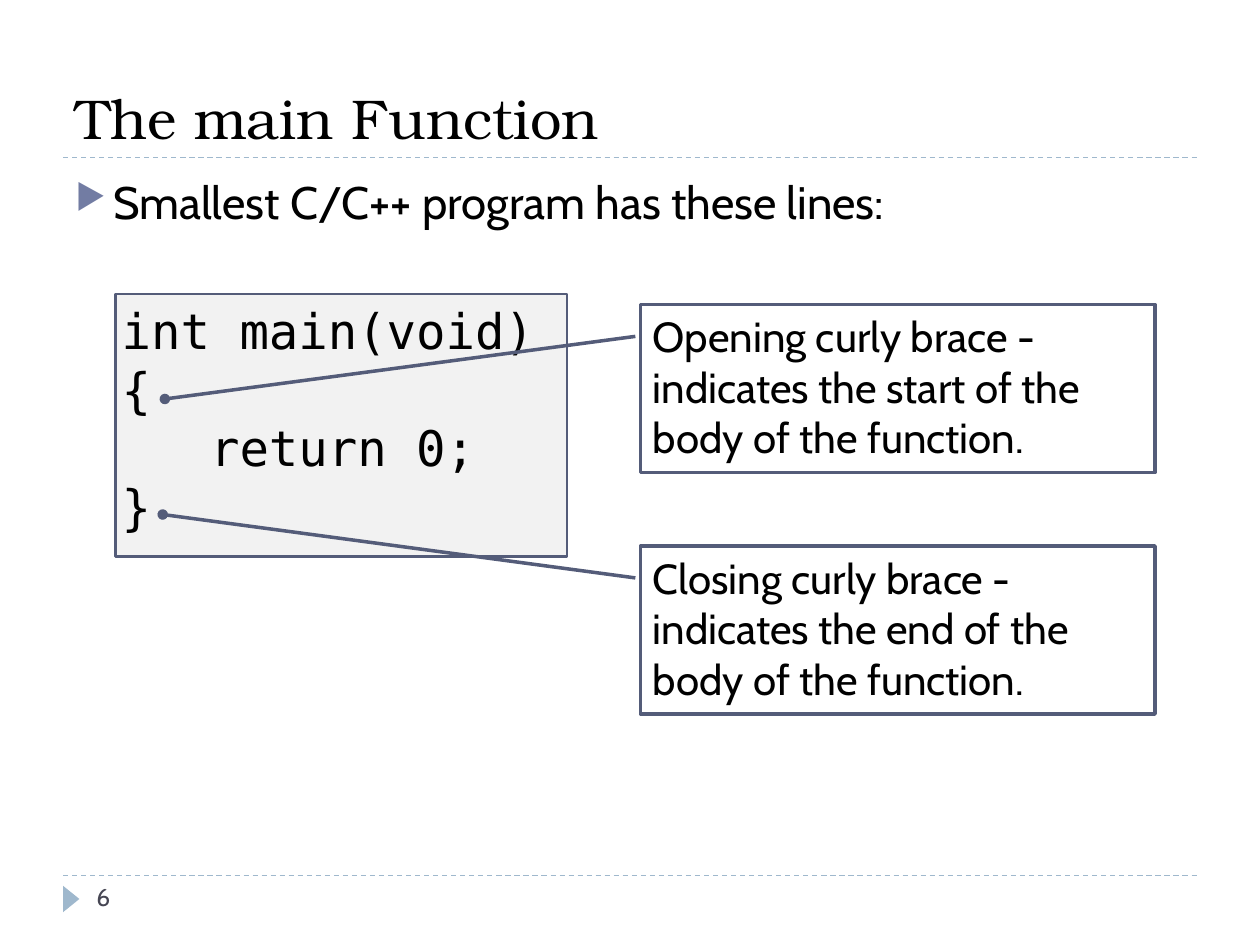
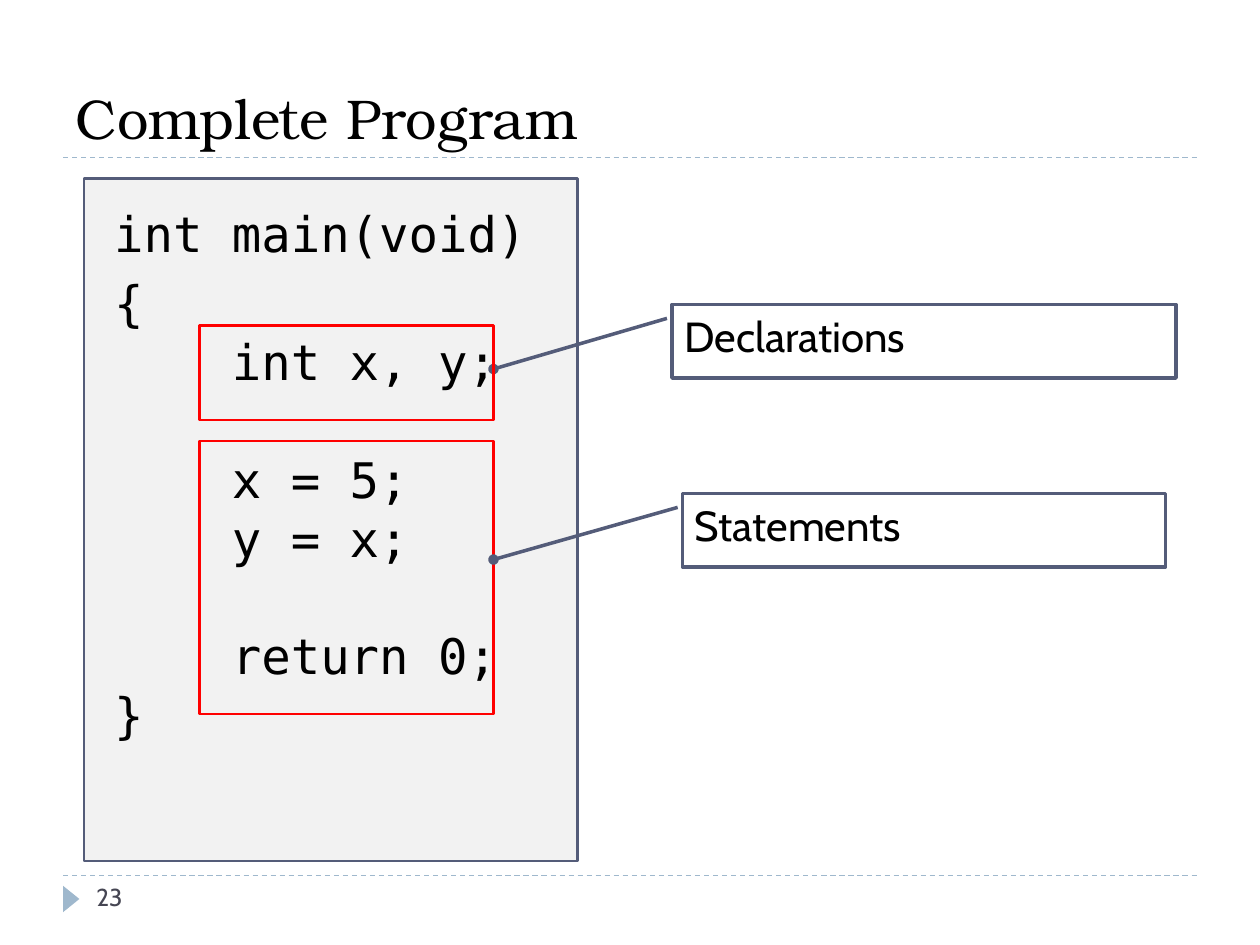
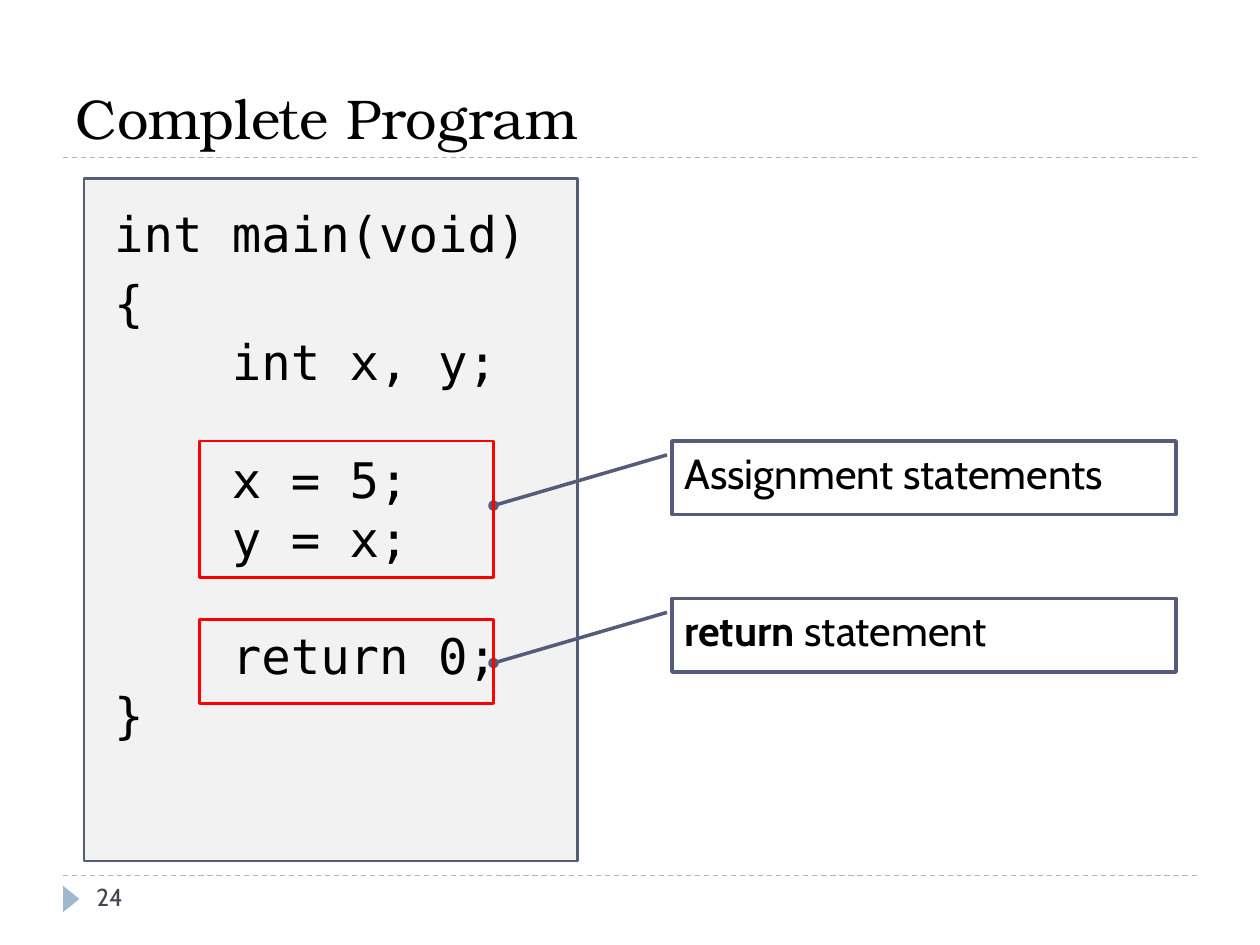
from collections import namedtuple

from lxml import etree
from pptx import Presentation
from pptx.dml.color import RGBColor
from pptx.enum.dml import MSO_LINE
from pptx.enum.shapes import MSO_CONNECTOR, MSO_SHAPE
from pptx.enum.text import MSO_ANCHOR, MSO_AUTO_SIZE, PP_ALIGN
from pptx.oxml.ns import qn
from pptx.util import Inches, Pt

STRAIGHT = MSO_CONNECTOR.STRAIGHT
RECTANGLE, TRIANGLE = MSO_SHAPE.RECTANGLE, MSO_SHAPE.ISOSCELES_TRIANGLE
CALLOUT = MSO_SHAPE.LINE_CALLOUT_1
DASH, LEFT = MSO_LINE.DASH, PP_ALIGN.LEFT
TOP, BOTTOM, FIXED = MSO_ANCHOR.TOP, MSO_ANCHOR.BOTTOM, MSO_AUTO_SIZE.NONE

CELLS_PER_INCH = 12
COLUMNS, ROWS = 120, 90
MARGIN, TITLE_RULE, FOOTER_RULE = 6, 15, 83.4

BLACK, SLATE, RED = "000000", "545C79", "FF0000"
PANEL, PALE_BLUE, BULLET, NUMBER = "F2F2F2", "9FB8CD", "727CA3", "464653"

TITLE_FONT = {"name": "TeX Gyre Bonum", "size": Pt(32), "color": BLACK}
BODY_FONT = {"name": "Cabin", "size": Pt(26), "color": BLACK}
NOTE_FONT = {**BODY_FONT, "size": Pt(24)}
NUMBER_FONT = {**BODY_FONT, "size": Pt(14), "color": NUMBER}
CODE_FONT = {"name": "DejaVu Sans Mono", "size": Pt(28), "color": BLACK}

DEFAULT_INSETS = (0.1, 0.05, 0.1, 0.05)
CODE_LINE = Pt(33.5)

Box = namedtuple("Box", "left top width height")

TITLE_BOX = Box(MARGIN, 2, COLUMNS - 2 * MARGIN, 13)
BODY_BOX = Box(MARGIN, 16, COLUMNS - 2 * MARGIN, 65)
NUMBER_BOX = Box(8, FOOTER_RULE, 26, 4.8)
MARKER_BOX = Box(5.52, 84.84, 2.52, 1.56)
PROGRAM_BOX = Box(8, 17, 47, 65)

SMALLEST_PROGRAM = ["int main(void)", "{", "   return 0;", "}"]
COMPLETE_PROGRAM = [
    "int main(void)", "{", "    int x, y;", "    x = 5;", "    y = x;",
    "    return 0;", "}",
]
PROGRAM_GAPS = {1: Pt(6), 3: CODE_LINE, 5: CODE_LINE}


def cells(count):
    """Turn a number of grid cells into a length."""
    return Inches(count / CELLS_PER_INCH)


def place(box):
    """Turn a grid box into left, top, width and height."""
    return [cells(count) for count in box]


def rgb(value):
    """Turn a hex string into a colour."""
    return RGBColor.from_string(value)


def apply_font(font, values):
    """Set font attributes from a dict of format values."""
    for name, value in values.items():
        if name == "color":
            font.color.rgb = rgb(value)
        else:
            setattr(font, name, value)


def write(frame, lines, font, insets=DEFAULT_INSETS, anchor=TOP, gaps=None):
    """Write lines, each a string or a list of (text, bold) spans, in a frame."""
    settings = {"word_wrap": True, "auto_size": FIXED, "vertical_anchor": anchor}
    sides = ("margin_left", "margin_top", "margin_right", "margin_bottom")
    settings.update(zip(sides, map(Inches, insets)))
    for name, value in settings.items():
        setattr(frame, name, value)
    for index, line in enumerate(lines):
        para = frame.paragraphs[0] if index == 0 else frame.add_paragraph()
        para.alignment = LEFT
        para.space_before = (gaps or {}).get(index, Pt(0))
        for text, bold in [(line, False)] if isinstance(line, str) else line:
            span = para.add_run()
            span.text = text
            apply_font(span.font, {**font, "bold": bold})


def add_outline(page, kind, box, line=None, weight=1.5, fill=None):
    """Add a preset shape with the given line and fill, or none."""
    shape = page.shapes.add_shape(kind, *place(box))
    shape.shadow.inherit = False
    if fill:
        shape.fill.solid()
        shape.fill.fore_color.rgb = rgb(fill)
    else:
        shape.fill.background()
    if line:
        shape.line.color.rgb = rgb(line)
        shape.line.width = Pt(weight)
    else:
        shape.line.fill.background()
    return shape


def add_rule(page, row):
    """Draw a dashed rule between the page margins."""
    ends = [cells(count) for count in (MARGIN, row, COLUMNS - MARGIN, row)]
    rule = page.shapes.add_connector(STRAIGHT, *ends)
    rule.line.color.rgb = rgb(PALE_BLUE)
    rule.line.width = Pt(0.75)
    rule.line.dash_style = DASH
    etree.SubElement(rule._element.spPr, qn("a:effectLst"))


def add_page(deck, title, number):
    """Add a page with its rules, title and numbered footer."""
    page = deck.slides.add_slide(deck.slide_layouts[5])
    for row in (FOOTER_RULE, TITLE_RULE):
        add_rule(page, row)
    add_outline(page, TRIANGLE, MARKER_BOX, fill=PALE_BLUE).rotation = 90
    heading = page.shapes.title
    heading.left, heading.top, heading.width, heading.height = place(TITLE_BOX)
    write(heading.text_frame, [title], TITLE_FONT, anchor=BOTTOM)
    footer = page.shapes.add_textbox(*place(NUMBER_BOX))
    write(footer.text_frame, [str(number)], NUMBER_FONT)
    return page


def add_bullet(page, box, text):
    """Add a text box holding one bulleted line."""
    frame = page.shapes.add_textbox(*place(box)).text_frame
    write(frame, [text], BODY_FONT)
    properties = frame.paragraphs[0]._p.get_or_add_pPr()
    properties.set("marL", str(Inches(0.3)))
    properties.set("indent", str(-Inches(0.3)))
    color = etree.SubElement(properties, qn("a:buClr"))
    etree.SubElement(color, qn("a:srgbClr"), val=BULLET)
    etree.SubElement(properties, qn("a:buSzPct"), val="76000")
    etree.SubElement(properties, qn("a:buChar"), char="▶")


def add_code(page, box, lines, insets, gaps=None):
    """Add a shaded panel of code."""
    panel = add_outline(page, RECTANGLE, box, SLATE, fill=PANEL)
    write(panel.text_frame, lines, CODE_FONT, insets, gaps=gaps)


def add_frame(page, box):
    """Frame a part of the code in red."""
    add_outline(page, RECTANGLE, box, RED)


def add_callout(page, box, line, tip):
    """Add a note whose round-ended leader reaches the tip (column, row)."""
    note = add_outline(page, CALLOUT, box, SLATE, 2)
    column, row = tip
    leader = (0.19, -0.01, (row - box.top) / box.height,
              (column - box.left) / box.width)
    for index, share in enumerate(leader):
        note.adjustments[index] = share
    etree.SubElement(note.line._get_or_add_ln(), qn("a:tailEnd"), type="oval")
    write(note.text_frame, [line], NOTE_FONT)


def build_main_page(deck):
    """Build the page on the smallest program."""
    page = add_page(deck, "The main Function", 6)
    add_bullet(page, BODY_BOX, "Smallest C/C++ program has these lines:")
    add_code(page, Box(11, 28, 43, 25), SMALLEST_PROGRAM, (0.05,) * 4)
    notes = [("Opening", "start", 29, (15.7, 38)), ("Closing", "end", 52, (15.5, 49))]
    for brace, place_name, top, tip in notes:
        text = (f"{brace} curly brace - indicates the {place_name} "
                "of the body of the function.")
        add_callout(page, Box(61, top, 49, 16), text, tip)


def build_program_page(deck, number, parts):
    """Build a page of the complete program with frames and notes on it."""
    page = add_page(deck, "Complete Program", number)
    add_code(page, PROGRAM_BOX, COMPLETE_PROGRAM, (0.24, 0.2, 0.05, 0.1), PROGRAM_GAPS)
    for add_part, *values in parts:
        add_part(page, *values)


def main():
    """Build and save the deck."""
    deck = Presentation()
    deck.slide_width, deck.slide_height = cells(COLUMNS), cells(ROWS)
    build_main_page(deck)
    build_program_page(deck, 23, [
        (add_frame, Box(19, 42, 28, 26)),
        (add_callout, Box(64, 29, 48, 7), "Declarations", (47, 35.15)),
        (add_frame, Box(19, 31, 28, 9)),
        (add_callout, Box(65, 47, 46, 7), "Statements", (47, 53.3)),
    ])
    build_program_page(deck, 24, [
        (add_callout, Box(64, 42, 48, 7), "Assignment statements", (47, 48.15)),
        (add_frame, Box(19, 42, 28, 13)),
        (add_callout, Box(64, 57, 48, 7),
         [("return", True), (" statement", False)], (47, 63.15)),
        (add_frame, Box(19, 59, 28, 8)),
    ])
    deck.save("out.pptx")


if __name__ == "__main__":
    main()
